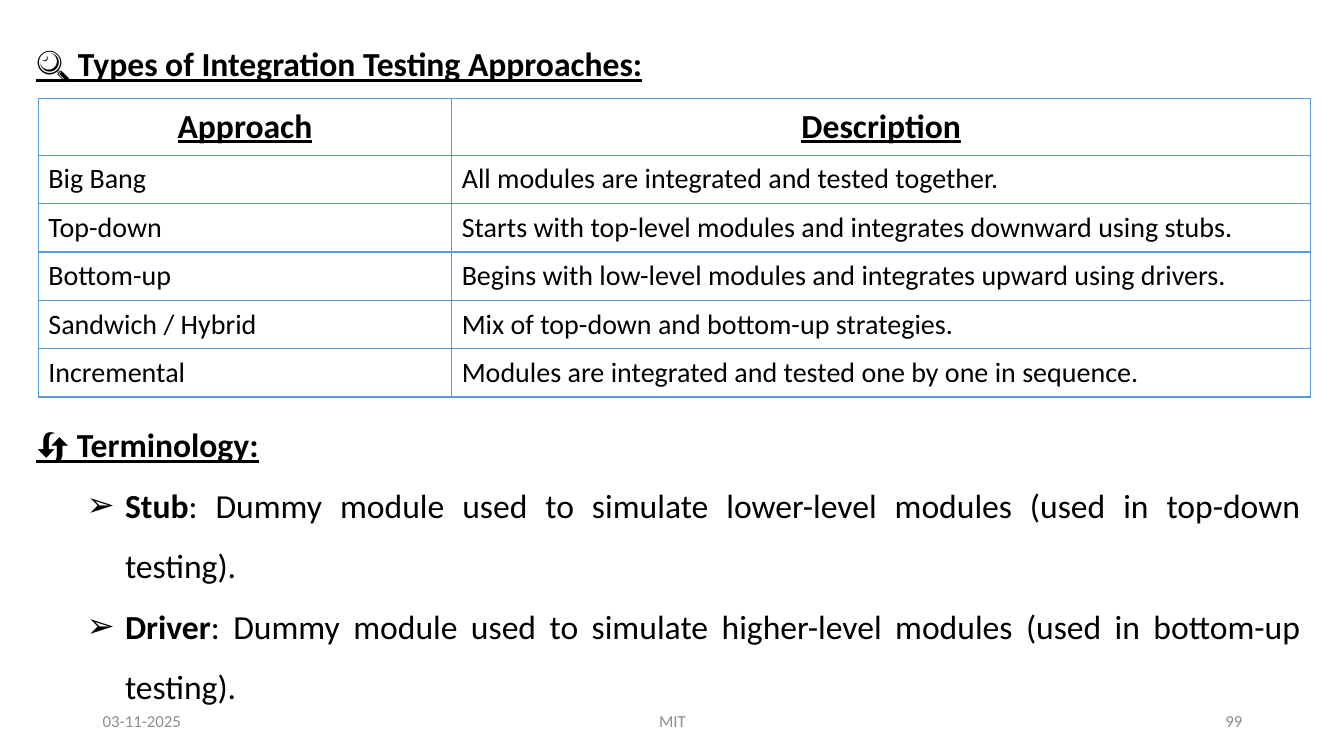
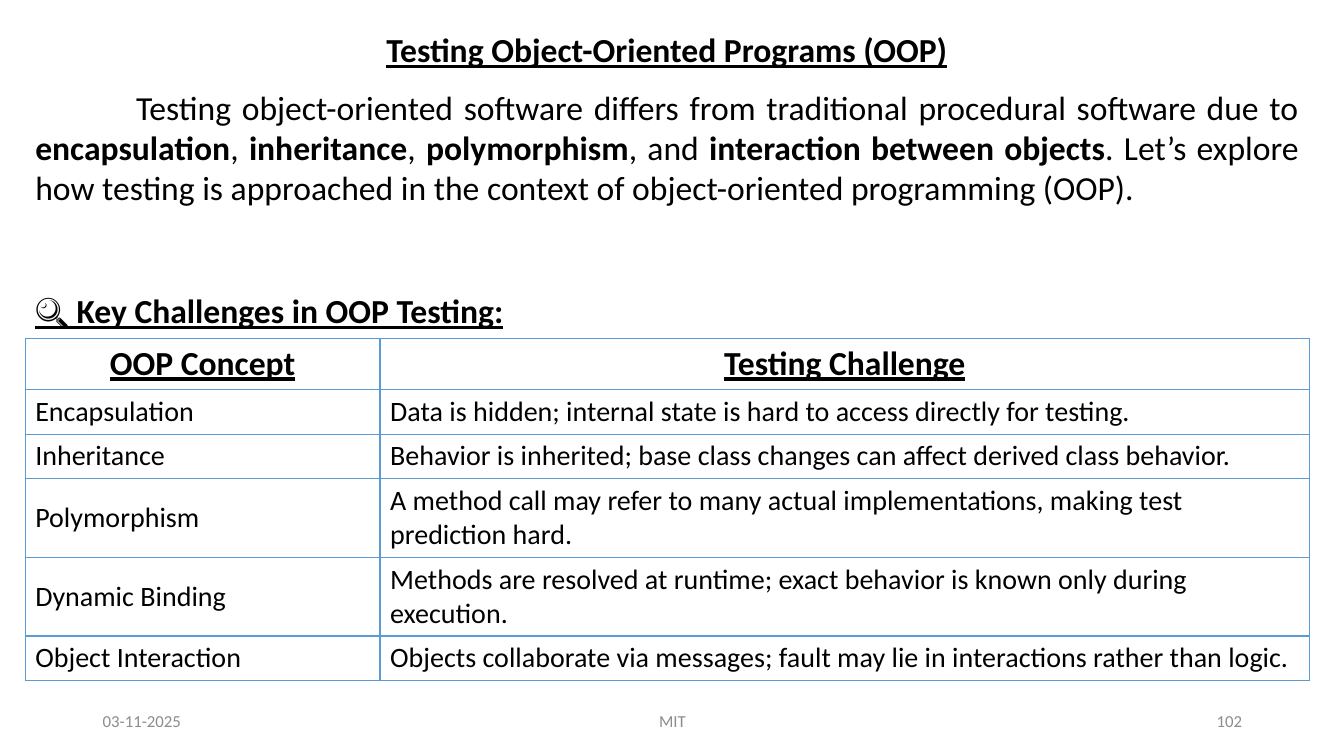
from pptx import Presentation
from pptx.dml.color import RGBColor
from pptx.enum.text import MSO_ANCHOR, MSO_AUTO_SIZE, PP_ALIGN
from pptx.oxml.ns import qn
from pptx.util import Pt
from lxml.etree import SubElement, Element

SCALE = 9144
WIDTH, HEIGHT = 1333, 750
FONT = "Calibri"
BLACK = RGBColor(0x00, 0x00, 0x00)
GREY = RGBColor(0x8C, 0x8C, 0x8C)
BLUE = RGBColor(0x5B, 0x9B, 0xD5)
HEADING_SIZE, CELL_SIZE, FOOTER_SIZE = 24, 20, 12
BULLET_LEFT, BULLET_HANG = 88, -38
DATE, FOOTER = "03-11-2025", "MIT"

APPROACHES = [
    ("Approach", "Description"),
    ("Big Bang", "All modules are integrated and tested together."),
    ("Top-down", "Starts with top-level modules and integrates downward using stubs."),
    ("Bottom-up", "Begins with low-level modules and integrates upward using drivers."),
    ("Sandwich / Hybrid", "Mix of top-down and bottom-up strategies."),
    ("Incremental", "Modules are integrated and tested one by one in sequence."),
]
TERMS = [
    "**Stub**: Dummy module used to simulate lower-level modules (used in top-down testing).",
    "**Driver**: Dummy module used to simulate higher-level modules (used in bottom-up testing).",
]
INTRODUCTION = (
    "Testing object-oriented software differs from traditional procedural software due to "
    "**encapsulation**, **inheritance**, **polymorphism**, and **interaction between objects**. "
    "Let’s explore how testing is approached in the context of object-oriented programming (OOP)."
)
CHALLENGES = [
    ("OOP Concept", "Testing Challenge"),
    ("Encapsulation", "Data is hidden; internal state is hard to access directly for testing."),
    ("Inheritance", "Behavior is inherited; base class changes can affect derived class behavior."),
    ("Polymorphism", "A method call may refer to many actual implementations, making test prediction hard."),
    ("Dynamic Binding", "Methods are resolved at runtime; exact behavior is known only during execution."),
    ("Object Interaction", "Objects collaborate via messages; fault may lie in interactions rather than logic."),
]


def px(length):
    return round(length * SCALE)


def place(box, left, top, width, height, anchor=MSO_ANCHOR.TOP, wrap=True):
    box.left, box.top, box.width, box.height = map(px, (left, top, width, height))
    frame = box.text_frame
    frame.auto_size = MSO_AUTO_SIZE.NONE
    frame.vertical_anchor = anchor
    frame.word_wrap = wrap
    return frame


def add_text_box(page, *area, **options):
    return place(page.shapes.add_textbox(0, 0, 0, 0), *area, **options)


def write(para, text, size, align=PP_ALIGN.LEFT, color=BLACK, heading=False):
    para.alignment = align
    para.space_before = Pt(0)
    font = para.font
    font.name, font.size, font.color.rgb = FONT, Pt(size), color
    font.bold = font.underline = heading
    for index, part in enumerate(text.split("**")):
        if part:
            span = para.add_run()
            span.text = part
            if index % 2:
                span.font.bold = True


def write_heading(para, text, align=PP_ALIGN.LEFT):
    write(para, text, HEADING_SIZE, align, heading=True)


def set_indent(para, left, first, bullet=None):
    properties = para._p.get_or_add_pPr()
    properties.set("marL", str(px(left)))
    properties.set("indent", str(px(first)))
    if bullet:
        SubElement(properties, qn("a:buChar")).set("char", bullet)
    else:
        SubElement(properties, qn("a:buNone"))


def set_borders(cell):
    properties = cell._tc.get_or_add_tcPr()
    for index, side in enumerate(("lnL", "lnR", "lnT", "lnB")):
        line = Element(qn(f"a:{side}"), w=str(Pt(1)))
        fill = SubElement(line, qn("a:solidFill"))
        SubElement(fill, qn("a:srgbClr")).set("val", str(BLUE))
        properties.insert(index, line)


def add_grid(page, rows, left, top, widths, heights):
    table = page.shapes.add_table(
        len(rows), len(widths), px(left), px(top), px(sum(widths)), px(sum(heights))
    ).table
    table.first_row = table.horz_banding = False
    for column, width in zip(table.columns, widths):
        column.width = px(width)
    for number, (row, texts, height) in enumerate(zip(table.rows, rows, heights)):
        row.height = px(height)
        for cell, text in zip(row.cells, texts):
            cell.vertical_anchor = MSO_ANCHOR.MIDDLE
            cell.fill.background()
            set_borders(cell)
            para = cell.text_frame.paragraphs[0]
            if number == 0:
                write_heading(para, text, PP_ALIGN.CENTER)
            else:
                write(para, text, CELL_SIZE)


def add_footer(page, number):
    parts = (
        (92, 300, DATE, PP_ALIGN.LEFT),
        (442, 450, FOOTER, PP_ALIGN.CENTER),
        (942, 300, number, PP_ALIGN.RIGHT),
    )
    for left, width, text, align in parts:
        frame = add_text_box(page, left, 695, width, 40, anchor=MSO_ANCHOR.MIDDLE)
        write(frame.paragraphs[0], text, FOOTER_SIZE, align, GREY)


def add_page(deck, number):
    page = deck.slides.add_slide(deck.slide_layouts[1])
    add_footer(page, number)
    return page, page.shapes.title, page.placeholders[1]


def build_integration(deck):
    page, title, body = add_page(deck, "99")
    frame = place(title, 26, 38, 627, 50, wrap=False)
    write_heading(frame.paragraphs[0], "🔍 Types of Integration Testing Approaches:")
    add_grid(page, APPROACHES, 38, 98, (410, 852), [56] + [48] * 5)

    frame = place(body, 26, 396, 1274, 307)
    para = frame.paragraphs[0]
    set_indent(para, 0, 0)
    write_heading(para, "🔄 Terminology:", PP_ALIGN.JUSTIFY)
    for term in TERMS:
        para = frame.add_paragraph()
        para.level = 1
        set_indent(para, BULLET_LEFT, BULLET_HANG, "➢")
        write(para, term, HEADING_SIZE, PP_ALIGN.JUSTIFY)
    for para in frame.paragraphs:
        para.line_spacing = 1.5


def build_object_oriented(deck):
    page, title, body = add_page(deck, "102")
    frame = place(title, 25, 24, 1273, 50)
    write_heading(frame.paragraphs[0], "Testing Object-Oriented Programs (OOP)", PP_ALIGN.CENTER)

    para = place(body, 25, 81, 1273, 131).paragraphs[0]
    set_indent(para, 0, 100)
    write(para, INTRODUCTION, HEADING_SIZE, PP_ALIGN.JUSTIFY)

    frame = add_text_box(page, 25, 283, 489, 50, wrap=False)
    write_heading(frame.paragraphs[0], "🔍 Key Challenges in OOP Testing:")
    add_grid(page, CHALLENGES, 25, 336, (352, 922), (50, 43, 43, 77, 77, 43))


def main():
    deck = Presentation()
    deck.slide_width, deck.slide_height = px(WIDTH), px(HEIGHT)
    build_integration(deck)
    build_object_oriented(deck)
    deck.save("out.pptx")


if __name__ == "__main__":
    main()
